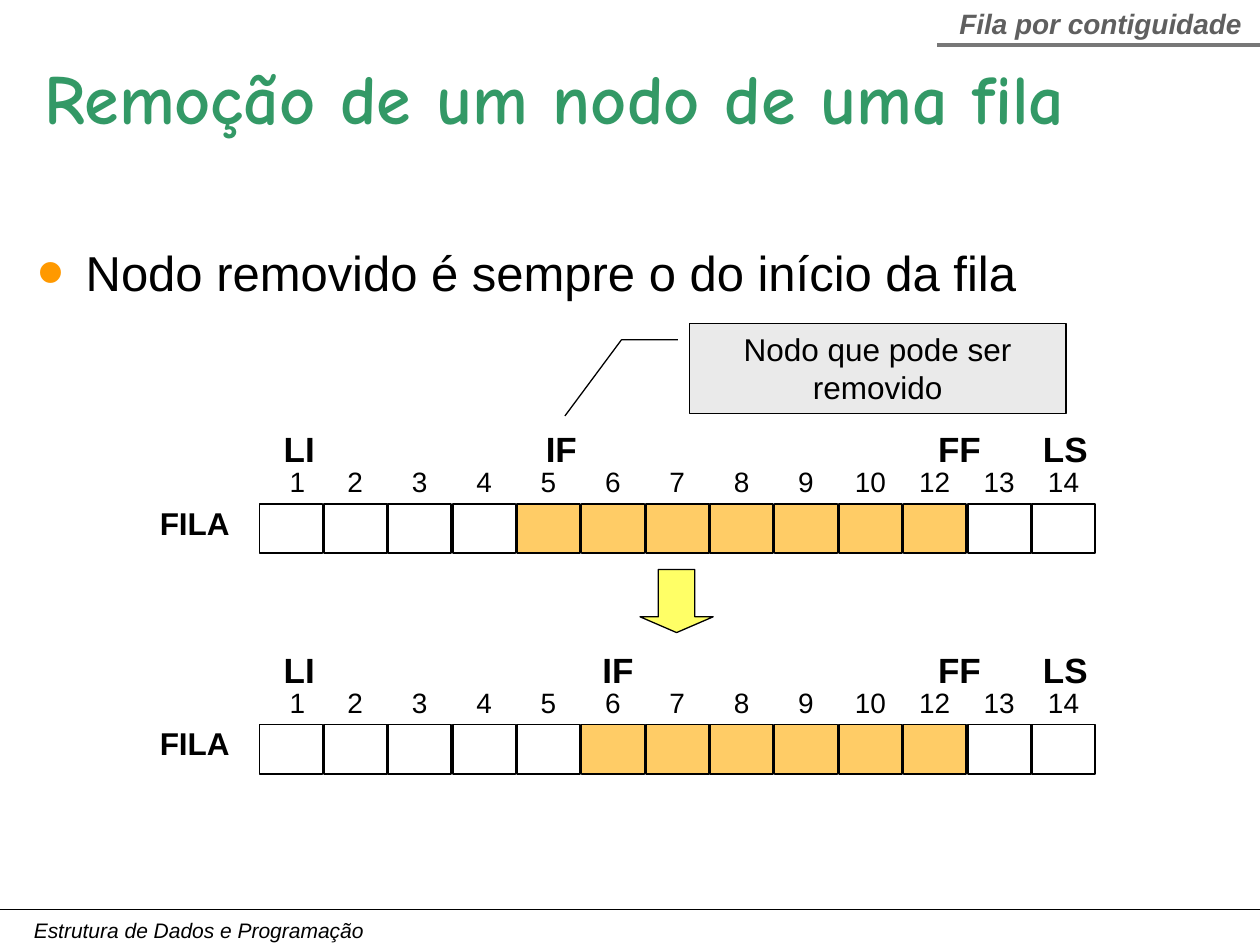
from lxml import etree
from pptx import Presentation
from pptx import util as u
from pptx.dml.color import RGBColor
from pptx.enum import shapes, text
from pptx.oxml import ns

BLACK = RGBColor(0x00, 0x00, 0x00)
WHITE = RGBColor(0xFF, 0xFF, 0xFF)
GREEN = RGBColor(0x33, 0x99, 0x66)
ORANGE = RGBColor(0xFF, 0x99, 0x00)
OCCUPIED = RGBColor(0xFF, 0xCC, 0x66)
YELLOW = RGBColor(0xFF, 0xFF, 0x66)
PALE_GRAY = RGBColor(0xEA, 0xEA, 0xEA)
RULE_GRAY = RGBColor(0x77, 0x77, 0x77)
HEADER_GRAY = RGBColor(0x5F, 0x5F, 0x5F)

SLIDE_W, SLIDE_H = u.Inches(10), u.Inches(7.5)
POSITIONS = [1, 2, 3, 4, 5, 6, 7, 8, 9, 10, 12, 13, 14]
QUEUE_LEFT, CELL_W, CELL_H, CELL_PITCH = 20.6, 5, 5.2, 5.11
NUMBERS_LEFT, INSET = 22, 1
LAST_OCCUPIED = 12


def across(percent):
    return round(SLIDE_W * percent / 100)


def down(percent):
    return round(SLIDE_H * percent / 100)


def area(left, top, width, height):
    """Percentages of the slide's width and height, as lengths."""
    return across(left), down(top), across(width), down(height)


def place(placeholder, *percents):
    (placeholder.left, placeholder.top,
     placeholder.width, placeholder.height) = area(*percents)


def write(holder, words, size, color=BLACK, font="Arial", bold=False, italic=False,
          align=text.PP_ALIGN.LEFT, anchor=text.MSO_ANCHOR.TOP, wrap=True):
    frame = holder.text_frame
    frame.auto_size = text.MSO_AUTO_SIZE.NONE
    frame.word_wrap = wrap
    frame.vertical_anchor = anchor
    paragraph = frame.paragraphs[0]
    paragraph.alignment = align
    paragraph.space_before = u.Pt(0)
    run = paragraph.add_run()
    run.text = words
    run.font.size = u.Pt(size)
    run.font.name = font
    run.font.bold = bold
    run.font.italic = italic
    run.font.color.rgb = color
    return paragraph


def add_label(slide, words, place_at, size, **style):
    return write(slide.shapes.add_textbox(*area(*place_at)), words, size,
                 wrap=False, **style)


def add_block(slide, preset, place_at, fill, line_width):
    block = slide.shapes.add_shape(preset, *area(*place_at))
    block.shadow.inherit = False
    block.fill.solid()
    block.fill.fore_color.rgb = fill
    block.line.color.rgb = BLACK
    block.line.width = u.Pt(line_width)
    return block


def add_rule(slide, left, top, color, width):
    """Horizontal line that runs to the right edge of the slide."""
    rule = slide.shapes.add_connector(shapes.MSO_CONNECTOR.STRAIGHT, across(left),
                                      down(top), SLIDE_W, down(top))
    rule.line.color.rgb = color
    rule.line.width = u.Pt(width)
    etree.SubElement(rule._element.spPr, ns.qn("a:effectLst"))


def set_bullet(paragraph, color, percent, indent):
    props = paragraph._p.get_or_add_pPr()
    props.set("marL", str(indent))
    props.set("indent", str(-indent))
    bullet_color = etree.SubElement(props, ns.qn("a:buClr"))
    etree.SubElement(bullet_color, ns.qn("a:srgbClr"), val=str(color))
    etree.SubElement(props, ns.qn("a:buSzPct"), val=str(percent * 1000))
    etree.SubElement(props, ns.qn("a:buFont"), typeface="Arial")
    etree.SubElement(props, ns.qn("a:buChar"), char="•")


def set_centered_tabs(paragraph, stops):
    tabs = etree.SubElement(paragraph._p.get_or_add_pPr(), ns.qn("a:tabLst"))
    for stop in stops:
        etree.SubElement(tabs, ns.qn("a:tab"), pos=str(across(stop)), algn="ctr")


def add_queue(slide, top, first_occupied, marks):
    """Row of cells with its name, position numbers and boundary marks."""
    for column, position in enumerate(POSITIONS):
        occupied = first_occupied <= position <= LAST_OCCUPIED
        add_block(slide, shapes.MSO_SHAPE.RECTANGLE,
                  (QUEUE_LEFT + column * CELL_PITCH, top, CELL_W, CELL_H),
                  OCCUPIED if occupied else WHITE, 1)

    numbers = add_label(slide, "\t".join(map(str, POSITIONS)),
                        (NUMBERS_LEFT, top - 4.8, 65.5, 4.93), 16)
    first_center = QUEUE_LEFT + CELL_W / 2 - NUMBERS_LEFT - INSET
    set_centered_tabs(numbers, [first_center + column * CELL_PITCH
                                for column in range(1, len(POSITIONS))])

    for mark, left in marks.items():
        add_label(slide, mark, (left, top - 8.53, 5.1, 5.33), 20, bold=True,
                  align=text.PP_ALIGN.CENTER, anchor=text.MSO_ANCHOR.MIDDLE)
    add_label(slide, "FILA", (11.7, top - 0.67, 7.6, 5.33), 18, bold=True)


def add_callout(slide):
    callout = add_block(slide, shapes.MSO_SHAPE.LINE_CALLOUT_2,
                        (54.7, 34.27, 29.9, 9.47), PALE_GRAY, 0.75)
    for index, share in enumerate([0.18, -0.03, 0.18, -0.18, 1.03, -0.33]):
        callout.adjustments[index] = share
    write(callout, "Nodo que pode ser removido", 18, align=text.PP_ALIGN.CENTER)


def add_heading(slide):
    title = slide.shapes.title
    place(title, 2.5, 5.07, 90.5, 10.27)
    write(title, "Remoção de um nodo de uma fila", 40, color=GREEN,
          font="Comic Neue", bold=True)
    add_rule(slide, 74.4, 4.8, RULE_GRAY, 2.25)
    add_label(slide, "Fila por contiguidade", (75.1, 0, 24.5, 4.93), 16,
              color=HEADER_GRAY, bold=True, italic=True, align=text.PP_ALIGN.CENTER)


def add_statement(slide):
    body = slide.placeholders[1]
    place(body, 2, 21.87, 90.2, 11.07)
    statement = write(body, "Nodo removido é sempre o do início da fila", 28,
                      anchor=text.MSO_ANCHOR.BOTTOM)
    body.text_frame.margin_bottom = u.Inches(0.08)
    set_bullet(statement, ORANGE, 157, across(3.8))


def add_footer(slide):
    add_label(slide, "Estrutura de Dados e Programação", (1.7, 96.4, 28.4, 4), 12,
              italic=True)
    add_rule(slide, 0, 96.27, BLACK, 0.75)


def main():
    deck = Presentation()
    deck.slide_width, deck.slide_height = SLIDE_W, SLIDE_H
    slide = deck.slides.add_slide(deck.slide_layouts[1])

    add_footer(slide)
    fixed_marks = {"LI": 21.2, "FF": 73.6, "LS": 82}
    add_queue(slide, 53.33, 5, {**fixed_marks, "IF": 42})
    add_block(slide, shapes.MSO_SHAPE.DOWN_ARROW, (50.8, 60.27, 5.8, 6.67),
              YELLOW, 0.75).adjustments[1] = 0.25
    add_queue(slide, 76.67, 6, {**fixed_marks, "IF": 46.5})
    add_heading(slide)
    add_statement(slide)
    add_callout(slide)

    deck.save("out.pptx")


if __name__ == "__main__":
    main()
